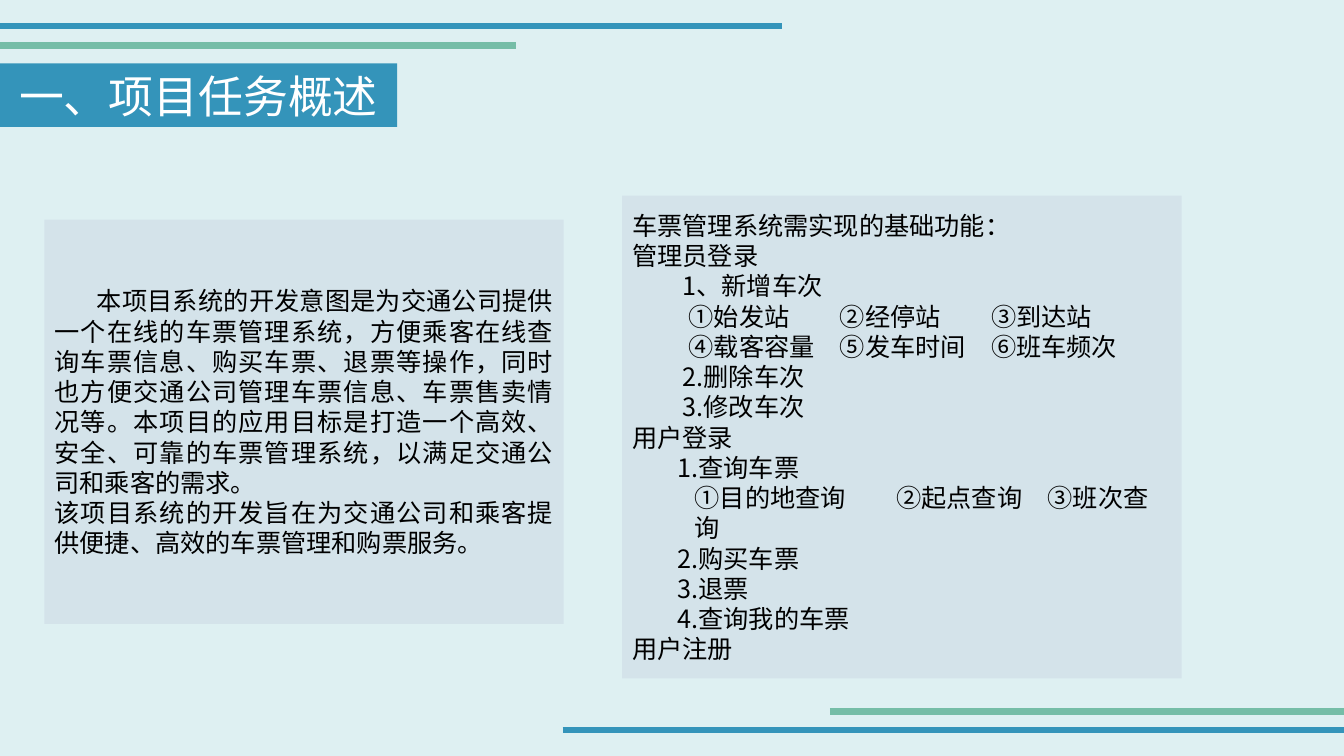
from lxml.etree import SubElement
from pptx import Presentation
from pptx.dml.color import RGBColor
from pptx.enum.shapes import MSO_CONNECTOR
from pptx.enum.text import MSO_ANCHOR, MSO_AUTO_SIZE, PP_ALIGN
from pptx.oxml.ns import qn
from pptx.util import Inches, Pt

FONT = "Noto Sans CJK SC"
BLUE = RGBColor(0x34, 0x94, 0xBA)
GREEN = RGBColor(0x75, 0xBD, 0xA7)
PANEL = RGBColor(0xCE, 0xDB, 0xE6)
BACKGROUND = RGBColor(0xDE, 0xF0, 0xF2)
BLACK = RGBColor(0, 0, 0)
WHITE = RGBColor(0xFF, 0xFF, 0xFF)

HEADING = [("一、项目任务概述", 0, 0, ())]
OVERVIEW = [
    ("本项目系统的开发意图是为交通公司提供一个在线的车票管理系统，方便乘客在线查询车票信息、"
     "购买车票、退票等操作，同时也方便交通公司管理车票信息、车票售卖情况等。本项目的应用目标是"
     "打造一个高效、安全、可靠的车票管理系统，以满足交通公司和乘客的需求。", 0, 0.42, ()),
    ("该项目系统的开发旨在为交通公司和乘客提供便捷、高效的车票管理和购票服务。", 0, 0, ()),
]
FUNCTIONS = [
    ("车票管理系统需实现的基础功能：", 0, 0, ()),
    ("管理员登录", 0, 0, ()),
    ("1、新增车次", 0.5, 0, ()),
    ("①始发站\t②经停站\t③到达站", 0.56, 0, (1.9, 3.28)),
    ("④载客容量\t⑤发车时间\t⑥班车频次", 0.56, 0, (1.92, 3.4)),
    ("2.删除车次", 0.5, 0, ()),
    ("3.修改车次", 0.5, 0, ()),
    ("用户登录", 0, 0, ()),
    ("1.查询车票", 0.45, 0, ()),
    ("①目的地查询\t②起点查询\t③班次查询", 0.62, 0, (2.29, 3.65)),
    ("2.购买车票", 0.45, 0, ()),
    ("3.退票", 0.45, 0, ()),
    ("4.查询我的车票", 0.45, 0, ()),
    ("用户注册", 0, 0, ()),
]
BLOCKS = [
    (HEADING, (0, 0.63, 3.94, 0.63), BLUE, None, PP_ALIGN.CENTER, 32, WHITE),
    (OVERVIEW, (0.44, 2.18, 5.15, 4.01), PANEL, 59, PP_ALIGN.JUSTIFY, 18, BLACK),
    (FUNCTIONS, (6.17, 1.94, 5.55, 4.79), PANEL, 59, PP_ALIGN.LEFT, 18, BLACK),
]
STRIPES = [
    (0, 5.12, 0.45, GREEN),
    (0, 7.76, 0.26, BLUE),
    (8.23, 13.33, 7.06, GREEN),
    (5.58, 13.33, 7.24, BLUE),
]


def add_stripe(slide, start, end, height, color):
    stripe = slide.shapes.add_connector(
        MSO_CONNECTOR.STRAIGHT, Inches(start), Inches(height), Inches(end), Inches(height))
    stripe.line.color.rgb = color
    stripe.line.width = Pt(4.5)
    SubElement(stripe._element.spPr, qn("a:effectLst"))


def format_line(paragraph, line, align, size, color):
    text, margin, indent, stops = line
    paragraph.text = text
    paragraph.alignment = align
    paragraph.line_spacing = Pt(size * 1.2)
    paragraph.space_before = Pt(0)
    properties = paragraph._p.get_or_add_pPr()
    properties.set("marL", str(Inches(margin)))
    properties.set("indent", str(Inches(indent)))
    SubElement(properties, qn("a:buNone"))
    if stops:
        tabs = SubElement(properties, qn("a:tabLst"))
        for stop in stops:
            SubElement(tabs, qn("a:tab"), pos=str(Inches(stop)), algn="l")
    font = paragraph.font
    font.size = Pt(size)
    font.color.rgb = color
    font.name = FONT
    SubElement(font._element, qn("a:ea"), typeface=FONT)


def fill_block(block, lines, box, fill, opacity, align, size, color):
    block.left, block.top, block.width, block.height = map(Inches, box)
    block.fill.solid()
    block.fill.fore_color.rgb = fill
    if opacity:
        tint = block._element.spPr.find(".//" + qn("a:srgbClr"))
        SubElement(tint, qn("a:alpha"), val=str(opacity * 1000))
    frame = block.text_frame
    frame.word_wrap = True
    frame.auto_size = MSO_AUTO_SIZE.NONE
    frame.vertical_anchor = MSO_ANCHOR.MIDDLE
    for number, line in enumerate(lines):
        paragraph = frame.add_paragraph() if number else frame.paragraphs[0]
        format_line(paragraph, line, align, size, color)


def main():
    deck = Presentation()
    deck.slide_width, deck.slide_height = Inches(13.33), Inches(7.5)
    slide = deck.slides.add_slide(deck.slide_layouts.get_by_name("Two Content"))
    slide.background.fill.solid()
    slide.background.fill.fore_color.rgb = BACKGROUND
    for stripe in STRIPES:
        add_stripe(slide, *stripe)
    for placeholder, block in zip(slide.placeholders, BLOCKS):
        fill_block(placeholder, *block)
    deck.save("out.pptx")


if __name__ == "__main__":
    main()
